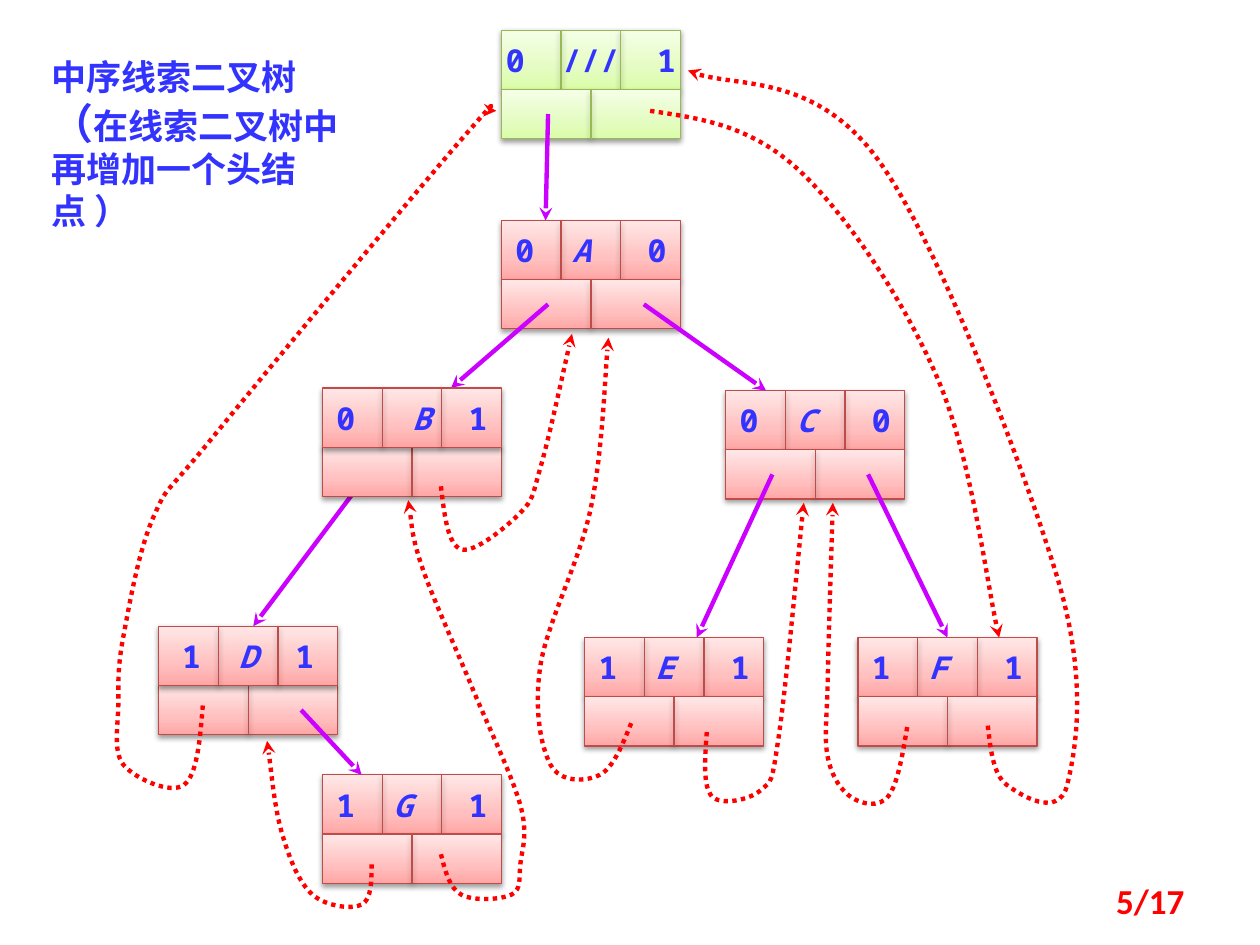
import copy
from dataclasses import dataclass

import lxml.etree
import pptx
import pptx.dml.color
import pptx.enum.dml
import pptx.enum.shapes
import pptx.enum.text
import pptx.oxml.ns
import pptx.util

Inches = pptx.util.Inches
qn = pptx.oxml.ns.qn
RECT = pptx.enum.shapes.MSO_SHAPE.RECTANGLE
STRAIGHT = pptx.enum.shapes.MSO_CONNECTOR.STRAIGHT
ALIGN = pptx.enum.text.PP_ALIGN
ANCHOR = pptx.enum.text.MSO_ANCHOR


@dataclass(frozen=True)
class Theme:
    """Colours, fonts and sizes of the slide."""
    red_cells = (("FFA6A5", "FFC0BF", "FFE7E7"), "BF4C48")
    green_cells = (("DAFDA7", "E4FCC2", "F5FFE7"), "98B955")
    text = "3333FF"
    child = "CC00FF"
    thread = "FF0000"
    mono = "Noto Sans Mono"
    cjk = "Noto Sans CJK SC"
    serif = "Times New Roman"
    page = "Calibri"
    node_size = 18
    title_size = 20
    bracket_size = 24
    cell_line = 0.75
    link_line = 2.5


THEME = Theme()
NODE_WIDTH, TAG_HEIGHT, POINTER_HEIGHT = 1.42, 0.47, 0.39
CHAR_WIDTH = 0.15
POINTER_X = {"left": 0.37, "right": 1.13}
POINTER_Y = TAG_HEIGHT + POINTER_HEIGHT / 2
HEAD = "///"

# left and top of each node
NODES = {HEAD: (3.98, 0.24), "A": (3.98, 1.75), "B": (2.56, 3.08), "C": (5.76, 3.1),
         "D": (1.26, 4.97), "E": (4.64, 5.06), "F": (6.81, 5.06), "G": (2.56, 6.15)}
TAGS = {HEAD: "01", "A": "00", "B": "01", "C": "00",
        "D": "11", "E": "11", "F": "11", "G": "11"}
# tags and label as typed on the tag row, one dot per empty column
SPACING = {HEAD: "0..///..1", "B": "0...B..1", "D": "1..D..1"}
LOWER_FIRST = "BD"

# parent, its pointer cell, child, distance of the arrow from the child's left
BACK_LINKS = [("A", "left", "B", 1.02), ("A", "right", "C", 0.32),
              ("B", "left", "D", 0.75), ("C", "left", "E", 0.89),
              ("C", "right", "F", 0.71)]
FRONT_LINKS = [("D", "right", "G", 0.31), (HEAD, "left", "A", 0.35)]

# points that each dotted thread passes through
THREADS = {
    "G to D": [(2.95, 6.86), (2.87, 7.18), (2.48, 7.1), (2.24, 6.62), (2.12, 5.88)],
    "E to C": [(5.61, 5.81), (5.65, 6.32), (6.04, 6.27), (6.18, 5.85), (6.38, 3.99)],
    "F to C": [(7.2, 5.77), (7.05, 6.32), (6.76, 6.33), (6.57, 6.01), (6.57, 5.38),
               (6.61, 3.99)],
    "head to F": [(5.16, 0.88), (6.34, 1.35), (7.44, 3), (7.93, 5.06)],
    "F to head": [(7.84, 5.76), (7.99, 6.23), (8.47, 6.23), (8.39, 4.58),
                  (6.97, 1.27), (5.46, 0.56)],
    "B to A": [(3.5, 3.86), (3.66, 4.36), (4.13, 4.07), (4.29, 3.71), (4.54, 2.65)],
    "G to B": [(3.5, 6.78), (3.66, 7.1), (4.06, 7.1), (4.13, 6.86), (4.13, 6.39),
               (3.74, 5.44), (3.35, 4.5), (3.24, 3.97)],
    "D to head": [(1.61, 5.6), (1.46, 6.23), (0.98, 6.07), (0.94, 5.58), (0.98, 5.05),
                  (1.22, 4.1), (1.69, 3.47), (3.66, 1.11), (3.94, 0.88)],
    "E to A": [(5.01, 5.74), (4.76, 6.15), (4.37, 6.07), (4.29, 5.28), (4.69, 4.03),
               (4.83, 2.68)],
}


def rgb(value):
    """Return a colour from its hex digits."""
    return pptx.dml.color.RGBColor.from_string(value)


def add_text(paragraph, text, *, size, font, color=THEME.text, italic=False):
    """Append a bold run to a paragraph."""
    run = paragraph.add_run()
    run.text = text
    run.font.size, run.font.name = pptx.util.Pt(size), font
    run.font.bold, run.font.italic = True, italic
    run.font.color.rgb = rgb(color)
    lxml.etree.SubElement(run.font._element, qn("a:ea"), typeface=THEME.cjk)


def set_shadow(part, soft=False):
    """Clear the shadow of a part, or give it a soft one below."""
    properties = part._element.spPr
    for effects in properties.findall(qn("a:effectLst")):
        properties.remove(effects)
    effects = lxml.etree.SubElement(properties, qn("a:effectLst"))
    if soft:
        shadow = lxml.etree.SubElement(effects, qn("a:outerShdw"), blurRad="40000",
                                       dist="20000", dir="5400000", rotWithShape="0")
        black = lxml.etree.SubElement(shadow, qn("a:srgbClr"), val="000000")
        lxml.etree.SubElement(black, qn("a:alpha"), val="38000")


def set_line(part, color, width, arrow=False):
    """Set the colour and width of a line, and an arrowhead at its end."""
    part.line.color.rgb, part.line.width = rgb(color), pptx.util.Pt(width)
    if arrow:
        outline = part._element.spPr.find(qn("a:ln"))
        lxml.etree.SubElement(outline, qn("a:tailEnd"), type="stealth")


def add_line(slide, ends, color, width, arrow=False):
    """Draw a straight line; cell dividers carry a shadow, arrows do not."""
    line = slide.shapes.add_connector(STRAIGHT, *map(Inches, ends))
    set_line(line, color, width, arrow)
    set_shadow(line, soft=not arrow)


def add_row(slide, left, top, height, columns, cells):
    """Draw one row of a node, split into columns, and return it."""
    colors, border = cells
    row = slide.shapes.add_shape(RECT, *map(Inches, (left, top, NODE_WIDTH, height)))
    row.fill.gradient()
    row.fill.gradient_angle = 90
    stops = row._element.xpath(".//a:gsLst")[0]
    stops.insert(1, copy.deepcopy(stops[0]))
    for stop, position, color in zip(row.fill.gradient_stops, (0, 0.35, 1), colors):
        stop.position, stop.color.rgb = position, rgb(color)
    set_line(row, border, THEME.cell_line)
    set_shadow(row, soft=True)
    for column in range(1, columns):
        x = left + NODE_WIDTH * column / columns
        add_line(slide, (x, top, x, top + height), border, THEME.cell_line)
    return row


def write_tags(row, label):
    """Write left tag, label and right tag on tab stops, centred in the row."""
    left_tag, right_tag = TAGS[label]
    layout = SPACING.get(label, f"{left_tag}..{label}...{right_tag}")
    frame = row.text_frame
    frame.word_wrap, frame.vertical_anchor = True, ANCHOR.MIDDLE
    frame.margin_left = Inches((NODE_WIDTH - len(layout) * CHAR_WIDTH) / 2)
    frame.margin_right = 0
    paragraph = frame.paragraphs[0]
    paragraph.alignment = ALIGN.LEFT
    tabs = lxml.etree.SubElement(paragraph._p.get_or_add_pPr(), qn("a:tabLst"))
    for column in (layout.index(label), len(layout) - 1):
        position = Inches(column * CHAR_WIDTH)
        lxml.etree.SubElement(tabs, qn("a:tab"), pos=str(position), algn="l")
    for text, italic in ((left_tag + "\t", False), (label, label.isalpha()),
                         ("\t" + right_tag, False)):
        add_text(paragraph, text, size=THEME.node_size, font=THEME.mono, italic=italic)


def draw_node(slide, label, cells=THEME.red_cells):
    """Draw a node: tags and label above, two pointer cells below."""
    left, top = NODES[label]
    rows = [(top, TAG_HEIGHT, 3), (top + TAG_HEIGHT, POINTER_HEIGHT, 2)]
    for y, height, columns in reversed(rows) if label in LOWER_FIRST else rows:
        row = add_row(slide, left, y, height, columns, cells)
        if y == top:
            write_tags(row, label)


def draw_link(slide, parent, side, child, offset):
    """Draw an arrow from a pointer cell to the top of a child."""
    parent_left, parent_top = NODES[parent]
    child_left, child_top = NODES[child]
    ends = (parent_left + POINTER_X[side], parent_top + POINTER_Y,
            child_left + offset, child_top)
    add_line(slide, ends, THEME.child, THEME.link_line, arrow=True)


def smooth(axis):
    """Return Bezier values along one axis, with tangents from the neighbours."""
    slopes = [(after - before) / 6 for before, after in zip(axis, axis[2:])]
    leaving = [(axis[1] - slopes[0] - axis[0]) / 2, *slopes]
    arriving = [*slopes, (axis[-1] - axis[-2]) / 5]
    values = [axis[0]]
    for begin, end, out, into in zip(axis, axis[1:], leaving, arriving):
        values += [begin + out, end - into, end]
    return [Inches(value) for value in values]


def draw_thread(slide, points):
    """Draw a dotted curved arrow through points."""
    start, *rest = zip(*map(smooth, zip(*points)))
    outline = slide.shapes.build_freeform(*start)
    outline.add_line_segments(rest, close=False)
    thread = outline.convert_to_shape()
    segments = thread._element.xpath(".//a:lnTo")
    for first in range(0, len(segments), 3):
        curve = lxml.etree.SubElement(segments[first].getparent(), qn("a:cubicBezTo"))
        for segment in segments[first:first + 3]:
            curve.append(segment[0])
            segment.getparent().remove(segment)
    thread.fill.background()
    thread.line.dash_style = pptx.enum.dml.MSO_LINE.ROUND_DOT
    set_line(thread, THEME.thread, THEME.link_line, arrow=True)
    set_shadow(thread)


def add_box(slide, *box):
    """Add a wrapping text box and return its frame."""
    frame = slide.shapes.add_textbox(*map(Inches, box)).text_frame
    frame.word_wrap = True
    return frame


def draw_title(slide, *box):
    """Write the heading."""
    heading = add_box(slide, *box).paragraphs[0]
    for text, size, font in (
            ("中序线索二叉树", THEME.title_size, THEME.cjk),
            ("（", THEME.bracket_size, THEME.serif),
            ("在线索二叉树中再增加一个头结点 ）", THEME.title_size, THEME.serif)):
        add_text(heading, text, size=size, font=font)


def draw_page_number(slide, *box):
    """Write the page number."""
    frame = add_box(slide, *box)
    frame.vertical_anchor = ANCHOR.MIDDLE
    frame.paragraphs[0].alignment = ALIGN.RIGHT
    add_text(frame.paragraphs[0], "5/17", size=THEME.title_size, font=THEME.page,
             color=THEME.thread)


def draw_tree(slide):
    """Draw the nodes, child links and threads from back to front."""
    for labels, links in (("AECF", BACK_LINKS), ("BDG", ())):
        for label in labels:
            draw_node(slide, label)
        for link in links:
            draw_link(slide, *link)
    draw_node(slide, HEAD, cells=THEME.green_cells)
    for link in FRONT_LINKS:
        draw_link(slide, *link)
    for points in THREADS.values():
        draw_thread(slide, points)


deck = pptx.Presentation()
deck.slide_width, deck.slide_height = Inches(10), Inches(7.5)
tree_slide = deck.slides.add_slide(deck.slide_layouts[6])
draw_tree(tree_slide)
draw_title(tree_slide, 0.31, 0.39, 2.73, 1.18)
draw_page_number(tree_slide, 7.17, 6.95, 2.33, 0.4)
deck.save("out.pptx")
